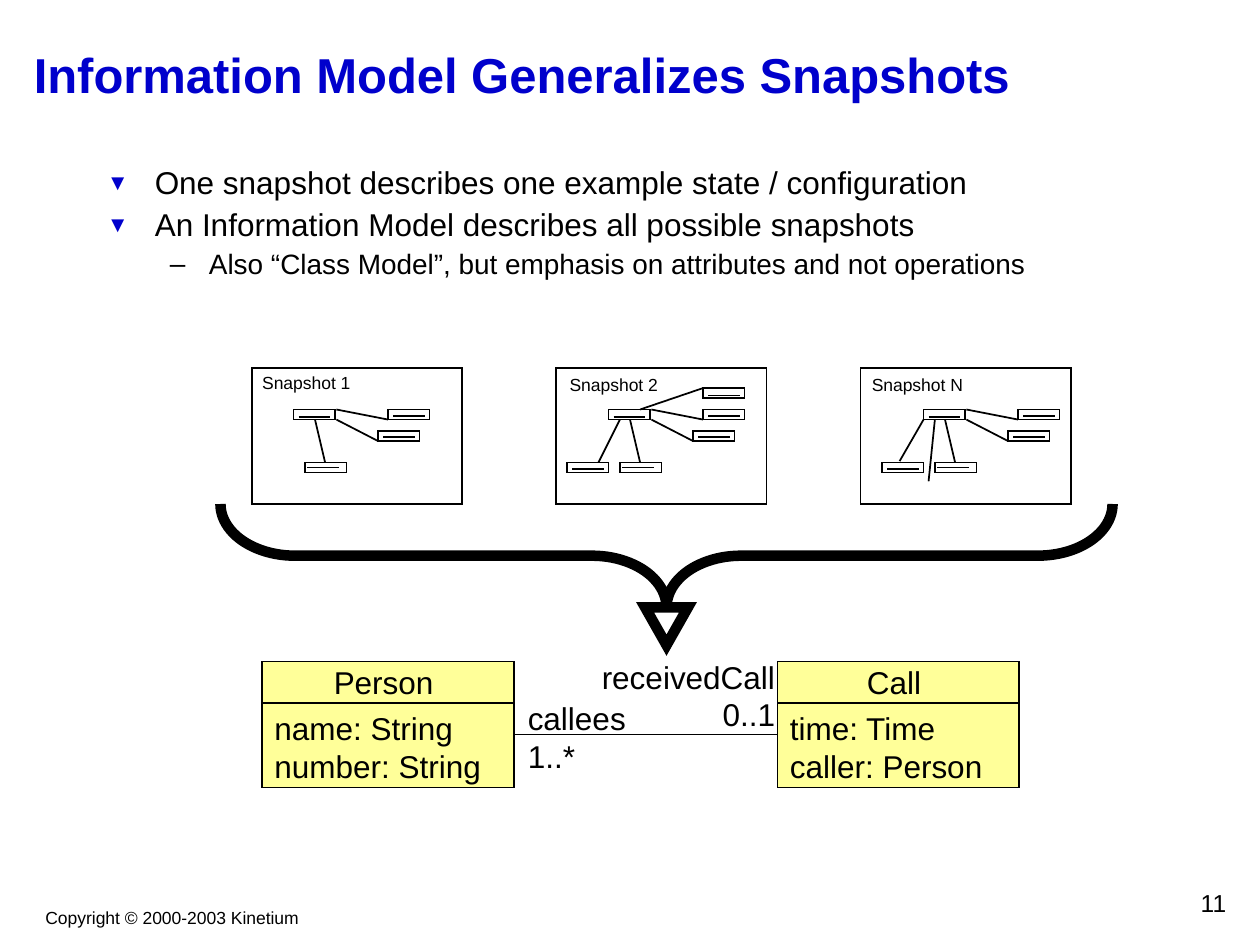
from dataclasses import dataclass

from lxml import etree
from pptx import Presentation
from pptx import util as u
from pptx.dml.color import RGBColor
from pptx.enum import shapes, text
from pptx.oxml.ns import qn


@dataclass(frozen=True)
class Theme:
    font: str = "Arial"
    ink: str = "000000"
    accent: str = "0000CC"
    paper: str = "FFFFFF"
    class_fill: str = "FFFF99"
    title: int = 28
    body: int = 18
    detail: int = 16
    number: int = 14
    small: int = 10
    thin: int = 1
    thick: int = 6


THEME = Theme()
LEFT, CENTER, RIGHT = text.PP_ALIGN.LEFT, text.PP_ALIGN.CENTER, text.PP_ALIGN.RIGHT
TOP, MIDDLE = text.MSO_ANCHOR.TOP, text.MSO_ANCHOR.MIDDLE
RECTANGLE = shapes.MSO_SHAPE.RECTANGLE

TITLE = "Information Model Generalizes Snapshots"
POINTS = [
    ("One snapshot describes one example state / configuration", 0),
    ("An Information Model describes all possible snapshots", 0),
    ("Also “Class Model”, but emphasis on attributes and not operations", 1),
]
LEVELS = [
    dict(size=THEME.body, margin=0.38, hanging=0.38, before=4.5,
         mark="▼", color=THEME.accent, percent=70),
    dict(size=THEME.detail, margin=0.81, hanging=0.31, before=4,
         mark="–", color=THEME.ink, percent=100),
]

NODES = {
    "hub": ((0.33, 3.25), (0.04, 0.06)),
    "right": ((1.08, 3.25), (0.04, 0.05)),
    "lower right": ((1, 3.42), (0.04, 0.05)),
    "below": ((0.42, 3.67), (0.02, 0.04)),
    "upper right": ((1.08, 3.08), (0.04, 0.06)),
    "lower left": ((0, 3.67), (0.04, 0.05)),
}
COMMON_NODES = ["hub", "right", "lower right", "below"]
COMMON_LINKS = [
    ((0.5, 3.33), (0.58, 3.67)),
    ((0.67, 3.33), (1, 3.5)),
    ((0.67, 3.25), (1.08, 3.33)),
]
SNAPSHOTS = [
    dict(name="Snapshot 1 ", label=(1.98, 2.9, 0.94), nodes=[], links=[]),
    dict(name="Snapshot 2 ", label=(4.42, 2.92, 0.94),
         nodes=["upper right", "lower left"],
         links=[((0.42, 3.33), (0.25, 3.67)), ((0.58, 3.25), (1.08, 3.08))]),
    dict(name="Snapshot N ", label=(6.82, 2.92, 0.96),
         nodes=["lower left"],
         links=[((0.42, 3.33), (0.37, 3.82)), ((0.33, 3.33), (0.14, 3.66))]),
]
FIRST_SNAPSHOT, GRAPH_STEP, FRAME_STEP = 2, 2.5, 2.415

CLASSES = [
    ("Person ", ["name: String", "number: String"], 2.08, 2),
    ("Call ", ["time: Time", "caller: Person"], 6.17, 1.92),
]
ROLES = [
    (["callees", "1..*"], (4.09, 5.5, 0.98, 0.7), LEFT),
    (["receivedCall", "0..1"], (4.6, 5.17, 1.65, 0.7), RIGHT),
]

deck = Presentation()
deck.slide_width, deck.slide_height = u.Inches(10), u.Inches(7.5)
slide = deck.slides.add_slide(deck.slide_layouts[6])


def rgb(value):
    return RGBColor.from_string(value)


def write(lines, box=None, frame=None, size=THEME.body, color=THEME.ink,
          bold=False, align=LEFT, anchor=TOP, wrap=False):
    if frame is None:
        frame = slide.shapes.add_textbox(*map(u.Inches, box)).text_frame
    frame.word_wrap = wrap
    frame.vertical_anchor = anchor
    for index, line in enumerate(lines):
        paragraph = frame.add_paragraph() if index else frame.paragraphs[0]
        paragraph.alignment = align
        run = paragraph.add_run()
        run.text = line
        run.font.name = THEME.font
        run.font.size = u.Pt(size)
        run.font.bold = bold
        run.font.color.rgb = rgb(color)
    return frame


def add_outline(kind, box, fill=None, width=THEME.thin):
    shape = slide.shapes.add_shape(kind, *map(u.Inches, box))
    shape.shadow.inherit = False
    if fill:
        shape.fill.solid()
        shape.fill.fore_color.rgb = rgb(fill)
    else:
        shape.fill.background()
    shape.line.color.rgb = rgb(THEME.ink)
    shape.line.width = u.Pt(width)
    etree.SubElement(shape._element.spPr.find(qn("a:ln")), qn("a:miter"), lim="800000")
    return shape


def add_line(start, end):
    line = slide.shapes.add_connector(
        shapes.MSO_CONNECTOR.STRAIGHT, *map(u.Inches, (*start, *end)))
    line.line.color.rgb = rgb(THEME.ink)
    line.line.width = u.Pt(THEME.thin)
    etree.SubElement(line._element.spPr, qn("a:effectLst"))


def add_bullet(paragraph, level):
    properties = paragraph._p.get_or_add_pPr()
    properties.set("marL", str(u.Inches(level["margin"])))
    properties.set("indent", str(-u.Inches(level["hanging"])))
    color = etree.SubElement(properties, qn("a:buClr"))
    etree.SubElement(color, qn("a:srgbClr"), val=level["color"])
    etree.SubElement(properties, qn("a:buSzPct"), val=str(level["percent"] * 1000))
    etree.SubElement(properties, qn("a:buFont"), typeface=THEME.font)
    etree.SubElement(properties, qn("a:buChar"), char=level["mark"])


def add_points():
    frame = write([line for line, _ in POINTS], box=(0.75, 1.28, 9.25, 1.06), wrap=True)
    for index, (paragraph, (_, depth)) in enumerate(zip(frame.paragraphs, POINTS)):
        level = LEVELS[depth]
        add_bullet(paragraph, level)
        paragraph.level = depth
        paragraph.line_spacing = 0.9
        if index:
            paragraph.space_before = u.Pt(level["before"])
        paragraph.runs[0].font.size = u.Pt(level["size"])


def add_snapshot(index, snapshot):
    origin = FIRST_SNAPSHOT + index * GRAPH_STEP
    for node in COMMON_NODES + snapshot["nodes"]:
        (x, y), (dx, dy) = NODES[node]
        add_outline(RECTANGLE, (origin + x, y, 0.33, 0.08))
        left, rule = origin + x + dx, y + dy
        add_line((left, rule), (left + 0.25, rule))
    for (x1, y1), (x2, y2) in COMMON_LINKS + snapshot["links"]:
        add_line((origin + x1, y1), (origin + x2, y2))
    add_outline(RECTANGLE, (FIRST_SNAPSHOT + index * FRAME_STEP, 2.92, 1.67, 1.08))
    write([snapshot["name"]], box=(*snapshot["label"], 0.27),
          size=THEME.small, align=CENTER)


def add_class(name, attributes, left, width):
    header = add_outline(RECTANGLE, (left, 5.25, width, 0.33), THEME.class_fill)
    write([name], frame=header.text_frame, align=CENTER, anchor=MIDDLE)
    members = add_outline(RECTANGLE, (left, 5.58, width, 0.67), THEME.class_fill)
    write(attributes, frame=members.text_frame, wrap=True)


def add_generalization():
    triangle = add_outline(shapes.MSO_SHAPE.ISOSCELES_TRIANGLE,
                           (5.12, 4.82, 0.34, 0.3), THEME.paper, THEME.thick)
    triangle.rotation = 180
    brace = add_outline(shapes.MSO_SHAPE.LEFT_BRACE,
                        (4.88, 0.87, 0.82, 7.08), width=THEME.thick)
    brace.rotation = 270
    brace.adjustments[0] = 0.72


write(["Copyright © 2000-2003 Kinetium"], box=(0.26, 7.15, 2.21, 0.27),
      size=THEME.small, align=CENTER)
write([TITLE], box=(0.17, 0.17, 9.67, 0.83), size=THEME.title,
      color=THEME.accent, bold=True, anchor=MIDDLE, wrap=True)
add_points()
for position, snapshot in enumerate(SNAPSHOTS):
    add_snapshot(position, snapshot)
for model_class in CLASSES:
    add_class(*model_class)
add_line((4.08, 5.83), (6.17, 5.83))
for role, box, align in ROLES:
    write(role, box=box, align=align)
add_generalization()
write(["11"], box=(7.75, 7, 2.08, 0.33), size=THEME.number, align=RIGHT, wrap=True)
deck.save("out.pptx")
